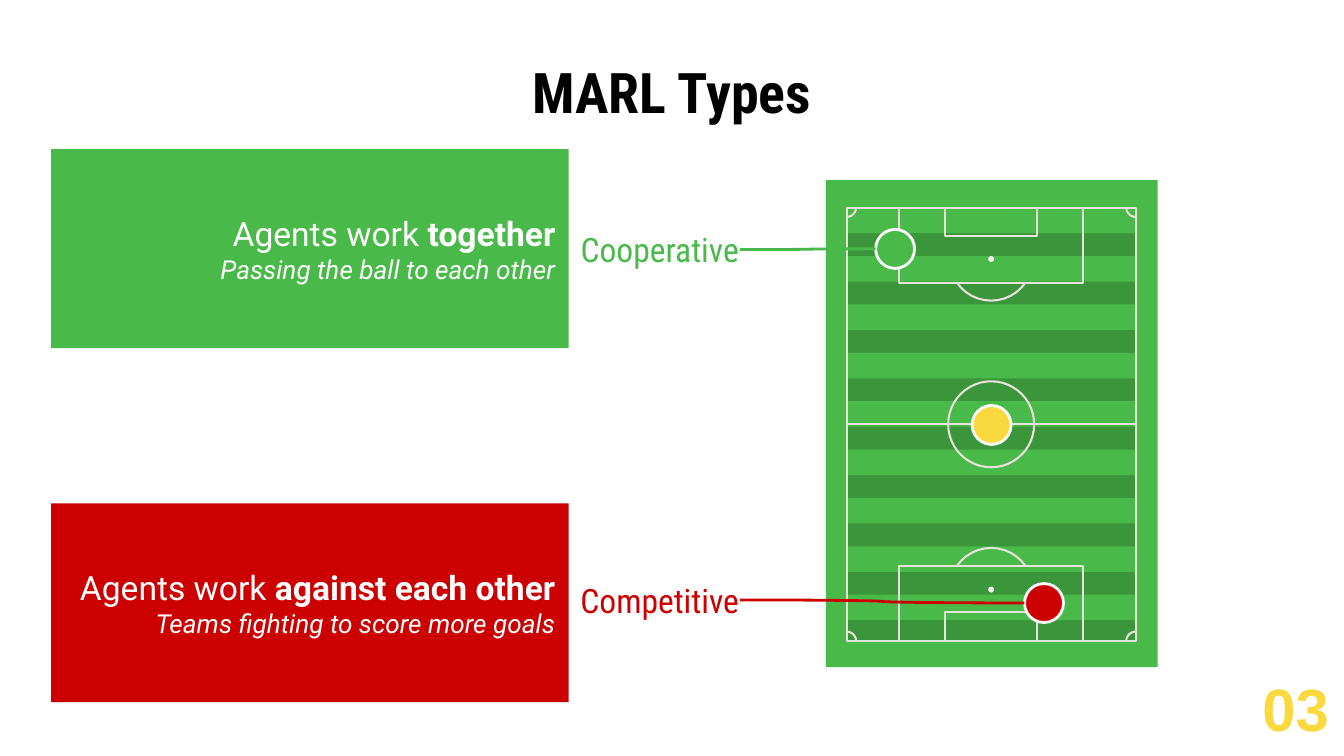
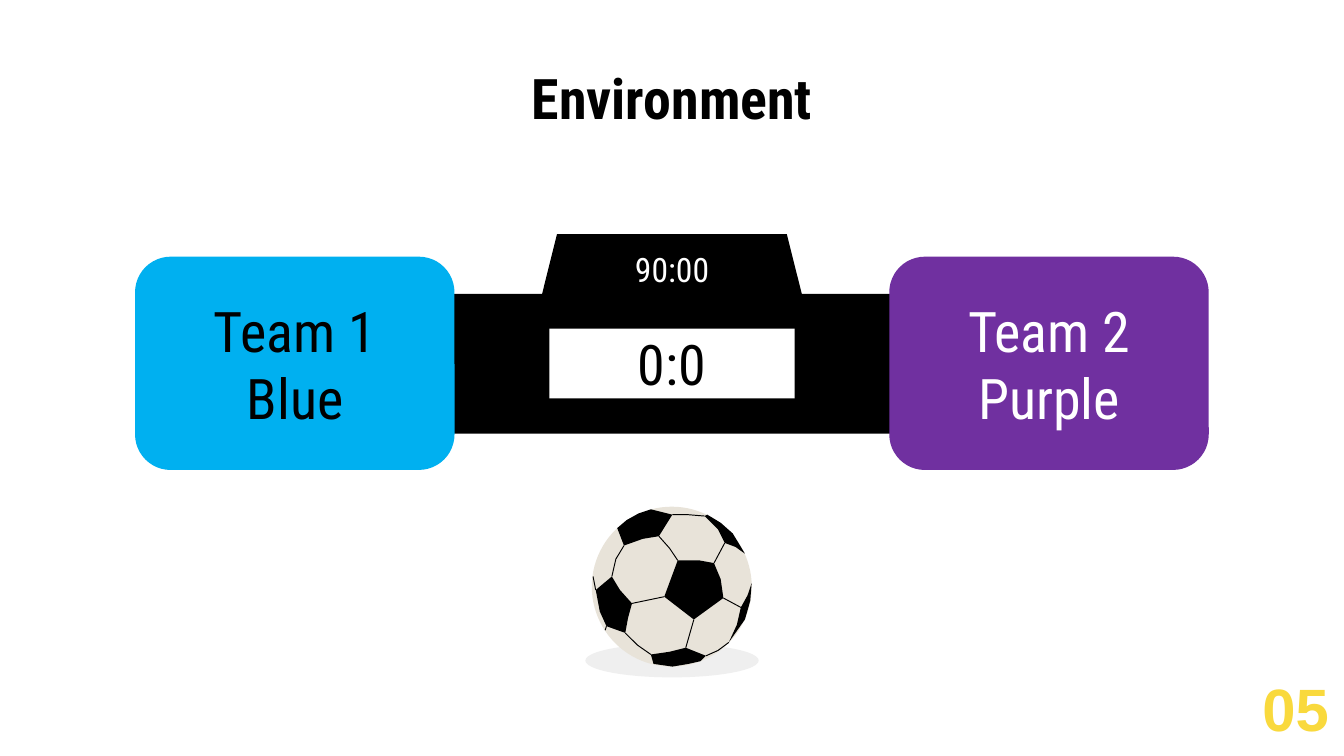
from math import cos, radians, sin

from lxml import etree
from pptx import Presentation
from pptx.dml.color import RGBColor
from pptx.enum.shapes import MSO_CONNECTOR, MSO_SHAPE
from pptx.enum.text import MSO_ANCHOR, MSO_AUTO_SIZE, PP_ALIGN
from pptx.oxml.ns import qn
from pptx.util import Inches, Pt

# Grid: the slide has 100 columns and 56.25 rows of 0.1 inch
COLUMNS, ROWS = 100, 56.25
CELL = 0.1

RECT, ROUND_RECT = MSO_SHAPE.RECTANGLE, MSO_SHAPE.ROUNDED_RECTANGLE
OVAL, TRAPEZOID = MSO_SHAPE.OVAL, MSO_SHAPE.TRAPEZOID
CURVE = MSO_CONNECTOR.CURVE
LEFT, CENTER, RIGHT = PP_ALIGN.LEFT, PP_ALIGN.CENTER, PP_ALIGN.RIGHT
MIDDLE, BOTTOM = MSO_ANCHOR.MIDDLE, MSO_ANCHOR.BOTTOM
NO_AUTOFIT = MSO_AUTO_SIZE.NONE

BLACK, WHITE = "000000", "FFFFFF"
GREEN, RED, YELLOW = "49BA49", "CC0000", "F9D93D"
BLUE, PURPLE = "00B0F0", "7030A0"
CHALK, SPOT, SHADE = "E8E3D9", "F1F1F1", "EFEFEF"
CONDENSED, ROBOTO, ARIAL = "Roboto Condensed", "Roboto", "Arial"

# Pitch geometry, in cells
PITCH_LEFT, PITCH_TOP, PITCH_WIDTH, PITCH_HEIGHT = 63, 15.45, 21.5, 32.25
PITCH_X = PITCH_LEFT + PITCH_WIDTH / 2
PITCH_Y = PITCH_TOP + PITCH_HEIGHT / 2
SPOT_DISTANCE = 12.3
STRIPES, STRIPE_STEP, STRIPE_HEIGHT = 9, 3.6, 1.9

# Ball outlines, in hundredths of an inch from the ball's top left corner
BALL_LEFT, BALL_TOP, BALL_SIZE = 44.03, 37.7, 11.9
BALL_PATCHES = [
    [(44, 2), (60, 6), (50, 22), (38, 24), (24, 29), (19, 16), (26, 10), (35, 5)],
    [(64, 40), (80, 40), (91, 42), (96, 54), (98, 68), (76, 84), (54, 67)],
    [(86, 6), (84, 7), (94, 17), (99, 27), (107, 30), (114, 35), (105, 20), (96, 12)],
    [(3, 62), (15, 52), (21, 62), (30, 72), (27, 83), (25, 94), (11, 89), (6, 78)],
    [(44, 110), (58, 108), (70, 105), (85, 111), (81, 115), (72, 117), (60, 119),
     (46, 117)],
    [(111, 75), (116, 66), (119, 57), (118, 70), (114, 84), (102, 101), (108, 88)],
]
BALL_SEAMS = [
    [(60, 6), (72, 6), (84, 7)],
    [(50, 22), (58, 31), (64, 40)],
    [(91, 42), (99, 27)],
    [(15, 52), (18, 39), (24, 29)],
    [(30, 72), (54, 67)],
    [(76, 84), (70, 105)],
    [(25, 94), (34, 103), (44, 110)],
    [(98, 68), (111, 75)],
    [(85, 111), (94, 107), (102, 101)],
    [(1, 52), (3, 62)],
    [(11, 89), (10, 92)],
]


def cells(*lengths):
    return [Inches(length * CELL) for length in lengths]


def color(hex_string):
    return RGBColor.from_string(hex_string)


def paint(shape, fill=None, line=None, width=1.5):
    shape.shadow.inherit = False
    if fill:
        shape.fill.solid()
        shape.fill.fore_color.rgb = color(fill)
    else:
        shape.fill.background()
    if line:
        shape.line.color.rgb = color(line)
        shape.line.width = Pt(width)
    else:
        shape.line.fill.background()
    return shape


def block(slide, preset, box, fill=None, line=None):
    return paint(slide.shapes.add_shape(preset, *cells(*box)), fill, line)


def disc(slide, x, y, radius, fill, line=None):
    return block(slide, OVAL, (x - radius, y - radius, 2 * radius, 2 * radius),
                 fill, line)


def outline(slide, contours, fill=None, line=None, width=1.5):
    """Draw all contours as one shape: closed if filled, else open strokes."""
    builder = None
    for contour in contours:
        start, *rest = [cells(*point) for point in contour]
        if builder:
            builder.move_to(*start)
        else:
            builder = slide.shapes.build_freeform(*start)
        builder.add_line_segments(rest, close=bool(fill))
    return paint(builder.convert_to_shape(), fill, line, width)


def arc(x, y, radius, start, end, steps):
    angles = [radians(start + (end - start) * i / steps) for i in range(steps + 1)]
    return [(x + radius * cos(a), y + radius * sin(a)) for a in angles]


def rectangle(left, top, right, bottom):
    return [(left, top), (right, top), (right, bottom), (left, bottom), (left, top)]


def link(slide, start, end, line):
    connector = slide.shapes.add_connector(CURVE, *cells(*start, *end))
    connector.line.color.rgb = color(line)
    connector.line.width = Pt(1.5)
    etree.SubElement(connector._element.spPr, qn("a:effectLst"))


def frame_text(shape, anchor=MIDDLE, side=1):
    frame = shape.text_frame
    frame.word_wrap = True
    frame.auto_size = NO_AUTOFIT
    frame.vertical_anchor = anchor
    frame.margin_left, frame.margin_right = cells(side, side)
    frame.margin_top, frame.margin_bottom = cells(1, 1)
    return frame


def style(text, size, font, ink, bold=False, italic=False):
    text.font.size = Pt(size)
    text.font.name = font
    text.font.color.rgb = color(ink)
    text.font.bold = bold
    text.font.italic = italic


def write(shape, text, size, ink, font=CONDENSED, align=CENTER, anchor=MIDDLE,
          side=1, bold=False, spacing=None):
    frame = frame_text(shape, anchor, side)
    frame.text = text
    for paragraph in frame.paragraphs:
        paragraph.alignment = align
        if spacing:
            paragraph.line_spacing = spacing
        for run in paragraph.runs:
            style(run, size, font, ink, bold)


def label(slide, box, text, size, ink, **options):
    write(slide.shapes.add_textbox(*cells(*box)), text, size, ink, **options)


# Shared slide frame: title and number
def new_slide(deck, title, top, height):
    slide = deck.slides.add_slide(deck.slide_layouts[5])
    heading = slide.shapes.title
    heading.left, heading.top, heading.width, heading.height = cells(
        7.8, top, COLUMNS - 2 * 7.8, height)
    write(heading, title, 30, BLACK, bold=True, spacing=0.5)
    return slide


def number(slide, text):
    label(slide, (92.95, ROWS - 6.7, 7.4, 6.7), text, 32, YELLOW, font=ARIAL,
          align=LEFT, anchor=BOTTOM, bold=True, spacing=0.8)


# Football pitch
def half_markings(side):
    """Give the markings of one half: side is -1 at the top, 1 at the bottom."""
    goal_line = PITCH_Y + side * PITCH_HEIGHT / 2
    markings = [
        rectangle(PITCH_X - half, goal_line, PITCH_X + half, goal_line - side * depth)
        for half, depth in ((6.85, 5.6), (3.42, 2.15))
    ]
    markings.append(arc(PITCH_X, PITCH_Y + side * SPOT_DISTANCE, 3.1,
                        -side * 34.5, -side * 145.5, 12))
    for edge, inward in ((-1, 0), (1, 180)):
        markings.append(arc(PITCH_X + edge * PITCH_WIDTH / 2, goal_line, 0.7,
                            inward, inward + 90 * side * edge, 6))
    return markings


def pitch(slide):
    block(slide, RECT, (61.45, 13.4, 24.7, 36.25), GREEN)
    grass = block(slide, RECT, (PITCH_LEFT, PITCH_TOP, PITCH_WIDTH, PITCH_HEIGHT), BLACK)
    tint = grass._element.spPr.find(".//" + qn("a:srgbClr"))
    etree.SubElement(tint, qn("a:alpha"), val="19000")
    for i in range(STRIPES):
        stripe_top = PITCH_TOP + i * STRIPE_STEP
        block(slide, RECT, (PITCH_LEFT, stripe_top, PITCH_WIDTH, STRIPE_HEIGHT), GREEN)
    right, bottom = PITCH_LEFT + PITCH_WIDTH, PITCH_TOP + PITCH_HEIGHT
    markings = [
        rectangle(PITCH_LEFT, PITCH_TOP, right, bottom),
        [(PITCH_LEFT, PITCH_Y), (right, PITCH_Y)],
        arc(PITCH_X, PITCH_Y, 3.2, 0, 360, 48),
    ]
    outline(slide, markings + half_markings(-1) + half_markings(1),
            line=CHALK, width=1.1)
    for side in (-1, 1):
        disc(slide, PITCH_X, PITCH_Y + side * SPOT_DISTANCE, 0.22, SPOT)


def marl_type(slide, name, lead, stress, example, top, label_top, ink):
    label(slide, (43.1, label_top, 12, 4.3), name, 18, ink, side=0)
    card = block(slide, RECT, (3.8, top, 38.52, 14.8), ink)
    frame = frame_text(card)
    lines = (
        [(lead, 18, False, False), (stress, 18, True, False)],
        [(example, 14, False, True)],
    )
    for i, parts in enumerate(lines):
        paragraph = frame.add_paragraph() if i else frame.paragraphs[0]
        paragraph.alignment = RIGHT
        for text, size, bold, italic in parts:
            run = paragraph.add_run()
            run.text = text
            style(run, size, ROBOTO, WHITE, bold, italic)


def types_slide(deck):
    slide = new_slide(deck, "MARL Types", 5, 5.4)
    pitch(slide)
    marl_type(slide, "Cooperative", "Agents work", " together",
              "Passing the ball to each other", 11.1, 16.4, GREEN)
    marl_type(slide, "Competitive", "Agents work", " against each other",
              "Teams fighting to score more goals", 37.45, 42.5, RED)
    # Players and the links to their labels
    for x, y, ink in ((66.6, 18.52, GREEN), (73.78, 31.62, YELLOW), (77.68, 44.87, RED)):
        disc(slide, x, y, 1.45, ink, WHITE)
    link(slide, (55.08, 18.57), (65.15, 18.52), GREEN)
    link(slide, (55.08, 44.64), (76.23, 44.87), RED)
    number(slide, "03")


# Scoreboard and ball
def ball(slide):
    def place(contours):
        return [[(BALL_LEFT + x / 10, BALL_TOP + y / 10) for x, y in contour]
                for contour in contours]

    block(slide, OVAL, (43.55, 47.9, 12.9, 2.5), SHADE)
    block(slide, OVAL, (BALL_LEFT, BALL_TOP, BALL_SIZE, BALL_SIZE), CHALK)
    outline(slide, place(BALL_PATCHES), BLACK)
    outline(slide, place(BALL_SEAMS), line=BLACK, width=0.5)


def team(slide, text, left, fill, ink):
    panel = block(slide, ROUND_RECT, (left, 19.1, 23.77, 15.87), fill)
    panel.adjustments[0] = 0.167
    label(slide, (left + 2.8, 22.35, 18.2, 9.4), text, 30, ink)


def environment_slide(deck):
    slide = new_slide(deck, "Environment", 5.9, 4.5)
    block(slide, RECT, (29.2, 21.87, 41.6, 10.4), BLACK)
    block(slide, TRAPEZOID, (40.15, 17.42, 19.7, 5.2), BLACK).adjustments[0] = 0.25
    team(slide, "Team 1\nBlue", 10.05, BLUE, BLACK)
    team(slide, "Team 2\nPurple", 66.17, PURPLE, WHITE)
    label(slide, (40.9, 17.45, 18.2, 5.2), "90:00", 18, WHITE)
    score = block(slide, RECT, (40.88, 24.45, 18.25, 5.2), WHITE)
    write(score, "0:0", 30, BLACK)
    ball(slide)
    number(slide, "05")


def main():
    deck = Presentation()
    deck.slide_width, deck.slide_height = cells(COLUMNS, ROWS)
    types_slide(deck)
    environment_slide(deck)
    deck.save("out.pptx")


if __name__ == "__main__":
    main()
